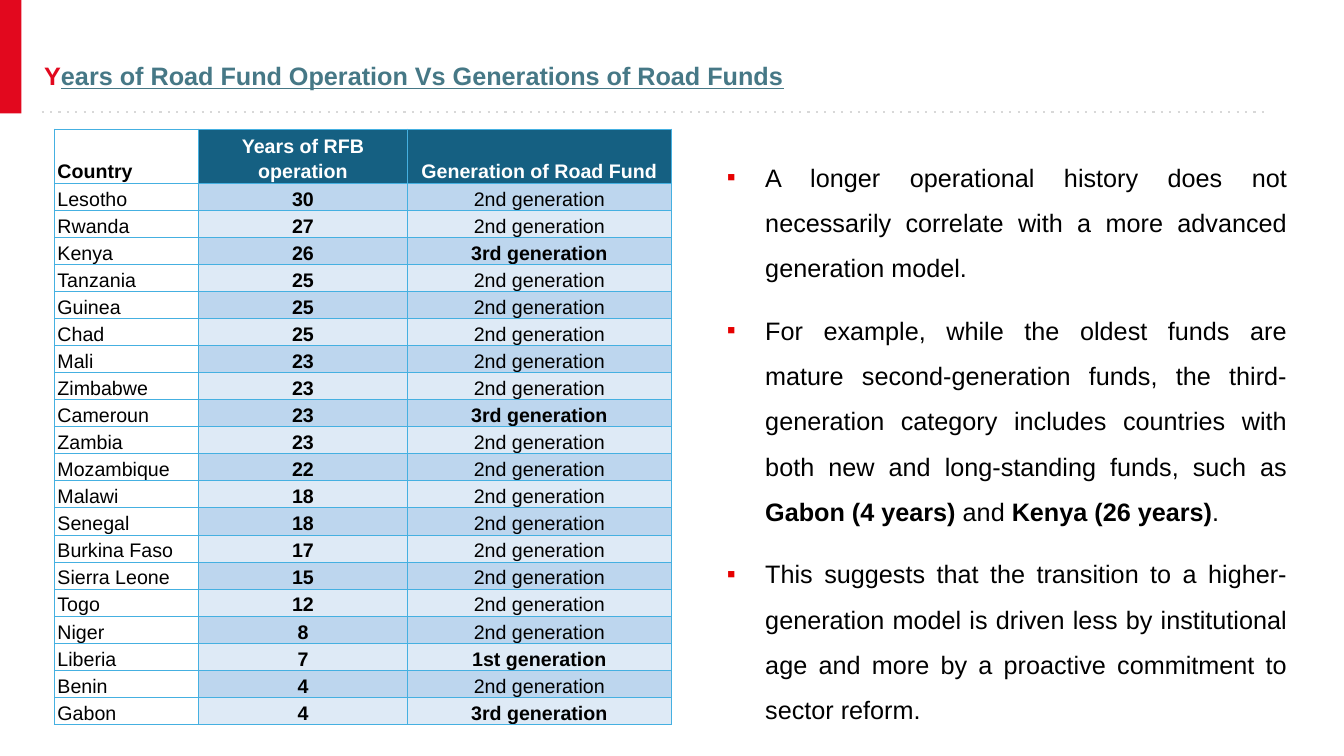
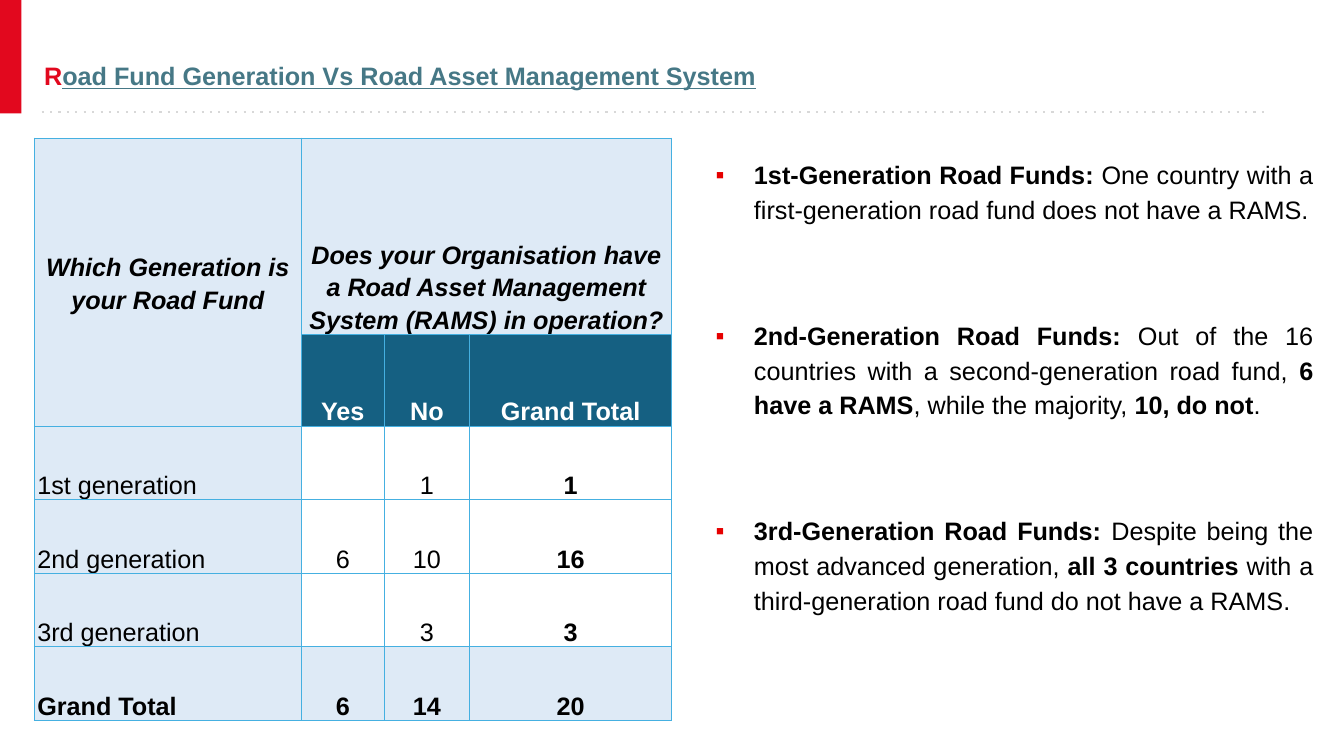
import pptx
import pptx.dml.color
import pptx.enum.dml
import pptx.enum.shapes
import pptx.enum.text
import pptx.oxml
import pptx.oxml.ns
import pptx.util

WIDTH, HEIGHT = pptx.util.Inches(13.33), pptx.util.Inches(7.5)
FONT = "Arial"
RED, BULLET_RED, TEAL, GREY = "E2081E", "E60000", "467886", "D8D8D8"
BLACK, WHITE, HEADER = "000000", "FFFFFF", "156082"
BLUE, PALE, BORDER = "BDD6EE", "DEEAF6", "45B0E1"
ALIGN = pptx.enum.text.PP_ALIGN
ANCHOR = pptx.enum.text.MSO_ANCHOR

COUNTRIES = [
    ("Lesotho", 30, "2nd"), ("Rwanda", 27, "2nd"), ("Kenya", 26, "3rd"),
    ("Tanzania", 25, "2nd"), ("Guinea", 25, "2nd"), ("Chad", 25, "2nd"),
    ("Mali", 23, "2nd"), ("Zimbabwe", 23, "2nd"), ("Cameroun", 23, "3rd"),
    ("Zambia", 23, "2nd"), ("Mozambique", 22, "2nd"), ("Malawi", 18, "2nd"),
    ("Senegal", 18, "2nd"), ("Burkina Faso", 17, "2nd"), ("Sierra Leone", 15, "2nd"),
    ("Togo", 12, "2nd"), ("Niger", 8, "2nd"), ("Liberia", 7, "1st"),
    ("Benin", 4, "2nd"), ("Gabon", 4, "3rd"),
]
RAMS_COUNTS = [
    ("1st generation", "", "1", "1"),
    ("2nd generation", "6", "10", "16"),
    ("3rd generation", "", "3", "3"),
    ("Grand Total", "6", "14", "20"),
]
OPERATION_POINTS = [
    "A longer operational history does not necessarily correlate with a more "
    "advanced generation model.",
    "For example, while the oldest funds are mature second-generation funds, the "
    "third-generation category includes countries with both new and long-standing "
    "funds, such as **Gabon (4 years)** and **Kenya (26 years)**.",
    "This suggests that the transition to a higher-generation model is driven less by "
    "institutional age and more by a proactive commitment to sector reform.",
]
RAMS_POINTS = [
    "**1st-Generation Road Funds:** One country with a first-generation road fund "
    "does not have a RAMS.",
    "**2nd-Generation Road Funds:** Out of the 16 countries with a second-generation "
    "road fund, **6 have a RAMS**, while the majority, **10, do not**.",
    "**3rd-Generation Road Funds:** Despite being the most advanced generation, "
    "**all 3 countries** with a third-generation road fund do not have a RAMS.",
]


def rgb(value):
    """Turn a hex string into a colour."""
    return pptx.dml.color.RGBColor.from_string(value)


def across(percent):
    """Length as a percentage of the slide width."""
    return round(WIDTH * percent / 100)


def down(percent):
    """Length as a percentage of the slide height."""
    return round(HEIGHT * percent / 100)


def area(left, top, width, height):
    """Position and size as percentages of the slide."""
    return across(left), down(top), across(width), down(height)


def xml(markup):
    """Parse one drawing element, given with the prefix a."""
    head, tail = markup.split(" ", 1)
    return pptx.oxml.parse_xml(f"{head} {pptx.oxml.ns.nsdecls('a')} {tail}")


def write(p, text, size=18, color=BLACK, bold=False, italic=False, underline=False,
          align=ALIGN.LEFT, spacing=1.15):
    """Add text to a paragraph; parts between ** are bold."""
    p.alignment, p.line_spacing = align, spacing
    for i, part in enumerate(text.split("**")):
        if part:
            r = p.add_run()
            r.text = part
            font = r.font
            font.name, font.size, font.color.rgb = FONT, pptx.util.Pt(size), rgb(color)
            font.bold, font.italic, font.underline = bold or i % 2 == 1, italic, underline


def add_text_box(slide, box):
    """Add a wrapping text box and return its text frame."""
    tf = slide.shapes.add_textbox(*area(*box)).text_frame
    tf.word_wrap = True
    tf.margin_left = tf.margin_right = pptx.util.Inches(0.1)
    tf.margin_top = tf.margin_bottom = pptx.util.Inches(0.1)
    return tf


def add_titled_slide(prs, title):
    """Add a slide with the red band, dotted rule and title."""
    slide = prs.slides.add_slide(prs.slide_layouts[6])
    band = slide.shapes.add_shape(
        pptx.enum.shapes.MSO_SHAPE.RECTANGLE, *area(0, 0, 1.6, 15))
    band.shadow.inherit = False
    band.fill.solid()
    band.fill.fore_color.rgb = rgb(RED)
    band.line.fill.background()
    rule = slide.shapes.add_connector(
        pptx.enum.shapes.MSO_CONNECTOR.STRAIGHT,
        across(3.1), down(14.8), across(94.2), down(14.8))
    rule.line.color.rgb = rgb(GREY)
    rule.line.width = pptx.util.Pt(1.5)
    rule.line.dash_style = pptx.enum.dml.MSO_LINE.ROUND_DOT
    rule._element.xpath(".//a:prstDash")[0].set("val", "dot")
    rule._element.spPr.append(xml("<a:effectLst />"))
    p = add_text_box(slide, (2.55, 4.67, 84.8, 10.1)).paragraphs[0]
    write(p, title[0], color=RED, bold=True, spacing=1.5)
    write(p, title[1:], color=TEAL, bold=True, underline=True, spacing=1.5)
    return slide


def add_bullets(slide, box, points, spacing, gap):
    """Add justified paragraphs with square red bullets."""
    tf = add_text_box(slide, box)
    for i, point in enumerate(points):
        p = tf.add_paragraph() if i else tf.paragraphs[0]
        pPr = p._p.get_or_add_pPr()
        pPr.set("marL", str(pptx.util.Inches(0.44)))
        pPr.set("indent", str(pptx.util.Inches(-0.38)))
        pPr.append(xml(f'<a:buClr ><a:srgbClr val="{BULLET_RED}"/></a:buClr>'))
        pPr.append(xml(f'<a:buFont typeface="{FONT}"/>'))
        pPr.append(xml('<a:buChar char="▪"/>'))
        p.space_before = pptx.util.Pt(gap if i else 0)
        write(p, point, align=ALIGN.JUSTIFY, spacing=spacing)


def add_grid(slide, left, top, columns, rows):
    """Add an unstyled table with the given column and row shares."""
    table = slide.shapes.add_table(
        len(rows), len(columns), *area(left, top, sum(columns), sum(rows))).table
    table.first_row = table.horz_banding = False
    for column, share in zip(table.columns, columns):
        column.width = across(share)
    for row, share in zip(table.rows, rows):
        row.height = down(share)
    return table


def fill_cell(cell, text, fill, anchor=ANCHOR.BOTTOM, **style):
    """Set the text, fill and borders of a cell."""
    cell.margin_left = cell.margin_right = pptx.util.Inches(0.03)
    cell.margin_top = cell.margin_bottom = 0
    cell.vertical_anchor = anchor
    cell.fill.solid()
    cell.fill.fore_color.rgb = rgb(fill)
    tcPr = cell._tc.get_or_add_tcPr()
    for i, side in enumerate(("lnL", "lnR", "lnT", "lnB")):
        tcPr.insert(i, xml(
            f'<a:{side} w="{pptx.util.Pt(0.75)}"><a:solidFill>'
            f'<a:srgbClr val="{BORDER}"/></a:solidFill></a:{side}>'))
    write(cell.text_frame.paragraphs[0], text, **style)


def add_operation_table(slide):
    """Add the table of countries, years and generations."""
    table = add_grid(slide, 4.05, 17.07, (10.73, 15.53, 19.65),
                     [6.93] + [2.8] * len(COUNTRIES))
    fill_cell(table.cell(0, 0), "Country", WHITE, size=14, bold=True)
    for c, heading in enumerate(("Years of RFB operation", "Generation of Road Fund"), 1):
        fill_cell(table.cell(0, c), heading, HEADER, size=14, color=WHITE, bold=True,
                  align=ALIGN.CENTER)
    for r, (country, years, generation) in enumerate(COUNTRIES, 1):
        shade = BLUE if r % 2 else PALE
        fill_cell(table.cell(r, 0), country, WHITE, size=14)
        fill_cell(table.cell(r, 1), str(years), shade, size=14, bold=True,
                  align=ALIGN.CENTER)
        fill_cell(table.cell(r, 2), f"{generation} generation", shade, size=14,
                  bold=generation != "2nd", align=ALIGN.CENTER)


def add_rams_table(slide):
    """Add the table of road fund generation against RAMS."""
    table = add_grid(slide, 2.55, 18.27, (19.88, 6.15, 6.38, 15),
                     [26, 12.13] + [9.73] * len(RAMS_COUNTS))
    question = dict(bold=True, italic=True, align=ALIGN.CENTER)
    for r in range(2):
        for c in range(4):
            fill_cell(table.cell(r, c), "", PALE)
    table.cell(0, 0).merge(table.cell(1, 0))
    table.cell(0, 1).merge(table.cell(0, 3))
    table.cell(0, 0).vertical_anchor = ANCHOR.MIDDLE
    write(table.cell(0, 0).text_frame.paragraphs[0],
          "Which Generation is your Road Fund", **question)
    write(table.cell(0, 1).text_frame.paragraphs[0],
          "Does your Organisation have a Road Asset Management System (RAMS) in operation?",
          **question)
    for c, heading in enumerate(("Yes", "No", "Grand Total"), 1):
        cell = table.cell(1, c)
        cell.fill.fore_color.rgb = rgb(HEADER)
        write(cell.text_frame.paragraphs[0], heading, color=WHITE, bold=True,
              align=ALIGN.CENTER)
    for r, counts in enumerate(RAMS_COUNTS, 2):
        total = counts[0] == "Grand Total"
        for c, value in enumerate(counts):
            fill_cell(table.cell(r, c), value, PALE if total or c == 0 else WHITE,
                      bold=total or c == 3, align=ALIGN.CENTER if c else ALIGN.LEFT)


def main():
    """Build and save the presentation."""
    prs = pptx.Presentation()
    prs.slide_width, prs.slide_height = WIDTH, HEIGHT
    slide = add_titled_slide(prs, "Years of Road Fund Operation Vs Generations of Road Funds")
    add_operation_table(slide)
    add_bullets(slide, (52.9, 18.1, 43.6, 79.5), OPERATION_POINTS, spacing=1.5, gap=12)
    slide = add_titled_slide(prs, "Road Fund Generation Vs Road Asset Management System")
    add_rams_table(slide)
    add_bullets(slide, (52.06, 19.2, 46.4, 55.2), RAMS_POINTS, spacing=1.15, gap=65)
    prs.save("out.pptx")


if __name__ == "__main__":
    main()
